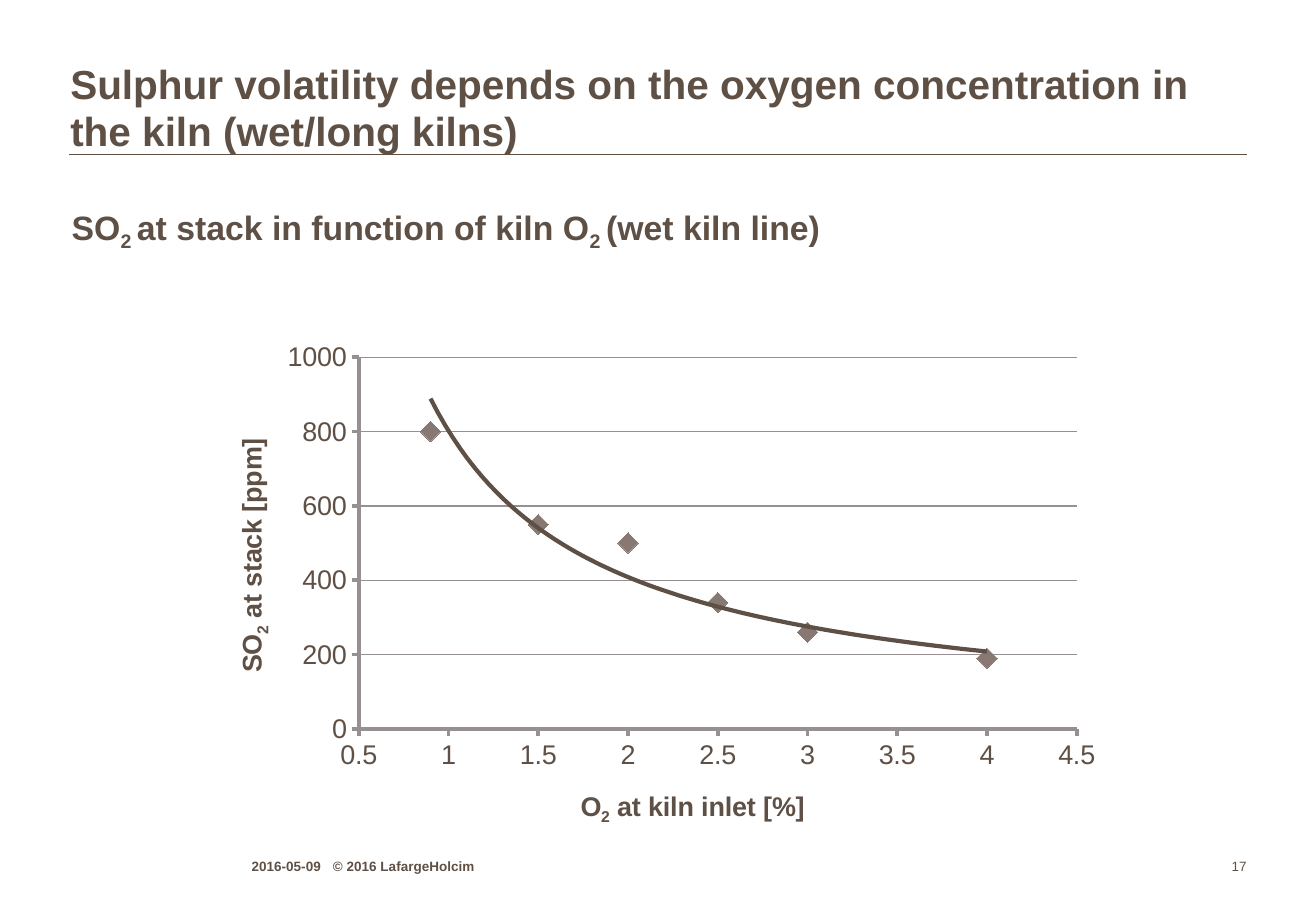
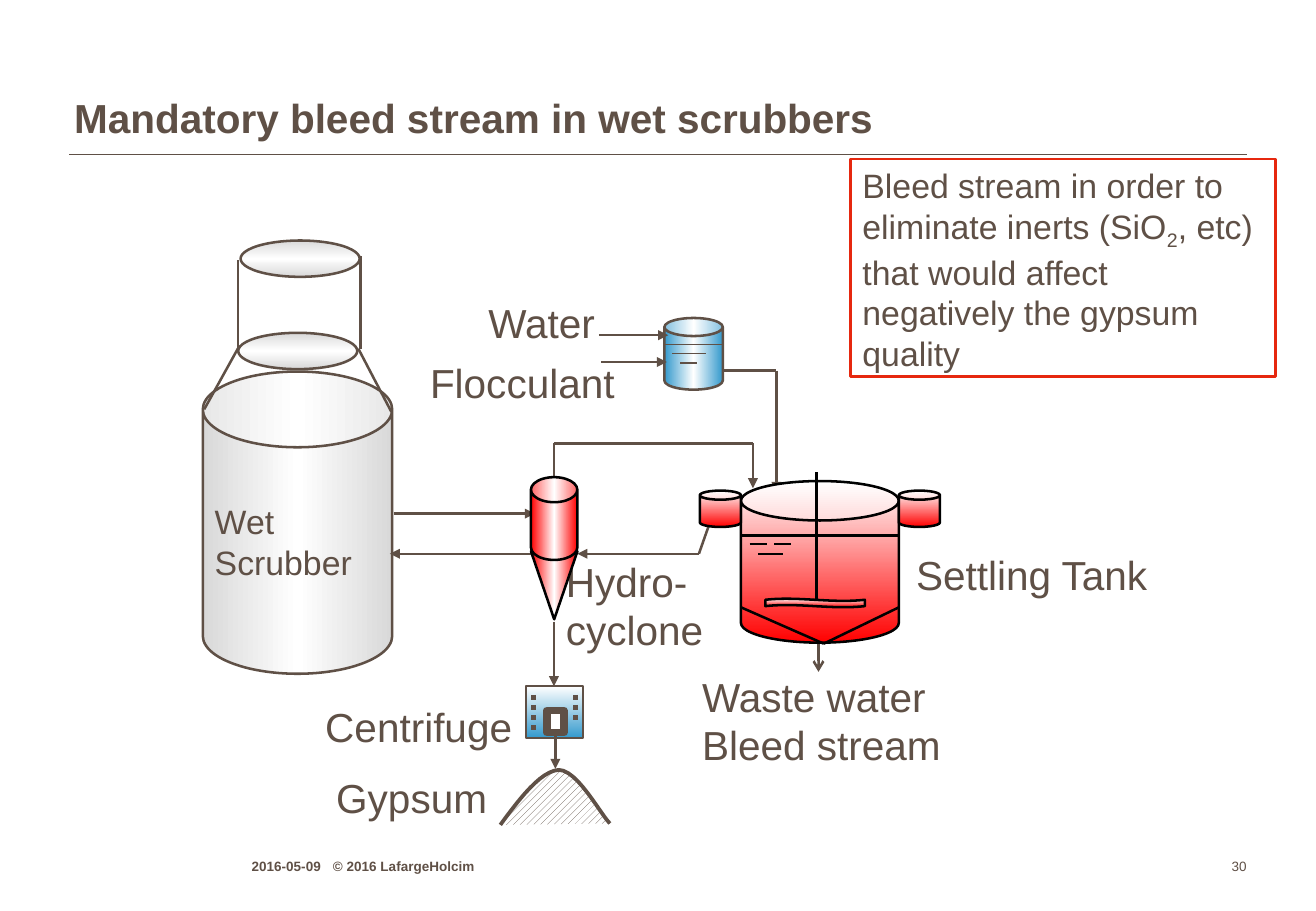
from copy import deepcopy
from dataclasses import dataclass

from lxml import etree
from pptx import Presentation
from pptx import util as u
from pptx.chart.data import XyChartData
from pptx.dml.color import RGBColor
from pptx.enum import chart as charts
from pptx.enum import dml, shapes, text
from pptx.oxml import parse_xml
from pptx.oxml.ns import nsdecls, qn

SHAPE = shapes.MSO_SHAPE
MIDDLE = text.MSO_ANCHOR.MIDDLE


@dataclass(frozen=True)
class Theme:
    font: str = "Arial"
    brown: str = "5F5046"
    marker: str = "877873"
    axis: str = "969090"
    alert: str = "E6280F"
    black: str = "000000"
    white: str = "FFFFFF"
    steel: tuple = ("D9D9D9", "FFFFFF", "D9D9D9")
    water: tuple = ("3399CC", "FFFFFF", "3399CC")
    filter: tuple = ("FFFFFF", "3399CC")
    slurry: tuple = ("FFFFFF", "FF0000")
    cyclone: tuple = ("FF0000", "FFFFFF", "FF0000")
    title: int = 24
    body: int = 20
    label: int = 24
    chart: int = 16
    footer: int = 8
    stroke: float = 1.5


THEME = Theme()


def rgb(code):
    return RGBColor.from_string(code)


def cm(*lengths):
    return [u.Cm(length) for length in lengths]


def style_font(font, size, bold=False):
    font.name, font.size, font.bold = THEME.font, u.Pt(size), bold
    font.color.rgb = rgb(THEME.brown)


def add_spans(para, content, size, bold=False):
    """Add runs; the parts between tildes become subscripts."""
    for index, part in enumerate(content.split("~")):
        if part:
            span = para.add_run()
            span.text = part
            style_font(span.font, size, bold)
            if index % 2:
                span.font._element.set("baseline", "-25000")


def fill_frame(frame, lines, size, bold=False, anchor=text.MSO_ANCHOR.TOP,
               align=text.PP_ALIGN.LEFT, wrap=True, inset=True):
    frame.word_wrap, frame.vertical_anchor = wrap, anchor
    if not inset:
        frame.margin_left = frame.margin_right = 0
        frame.margin_top = frame.margin_bottom = 0
    for index, line in enumerate(lines):
        para = frame.add_paragraph() if index else frame.paragraphs[0]
        para.alignment = align
        add_spans(para, line, size, bold)


def add_text(slide, at, lines, size, **options):
    box = slide.shapes.add_textbox(*cm(*at))
    fill_frame(box.text_frame, lines, size, **options)
    return box.text_frame.paragraphs[0]


def add_label(slide, at, *lines, anchor=MIDDLE):
    add_text(slide, at, lines, THEME.label, anchor=anchor, wrap=False)


def outline(shape, color, width):
    shape.line.color.rgb = rgb(color)
    shape.line.width = u.Pt(width)


def add_gradient(shape, colors, angle):
    """Spread the colours evenly, with a clockwise angle in degrees."""
    shape.fill.gradient()
    shape.fill.gradient_angle = -angle % 360
    stops = shape._element.spPr.find(".//" + qn("a:gsLst"))
    for _ in colors[2:]:
        stops.append(deepcopy(stops[0]))
    for index, (stop, color) in enumerate(zip(shape.fill.gradient_stops, colors)):
        stop.position = index / (len(colors) - 1)
        stop.color.rgb = rgb(color)


def add_part(parent, kind, at, colors=(), angle=0, adjust=(),
             line=THEME.brown, width=THEME.stroke):
    part = parent.add_shape(kind, *cm(*at))
    part.shadow.inherit = False
    for index, value in enumerate(adjust):
        part.adjustments[index] = value
    if len(colors) > 1:
        add_gradient(part, colors, angle)
    elif colors:
        part.fill.solid()
        part.fill.fore_color.rgb = rgb(colors[0])
    else:
        part.fill.background()
    outline(part, line, width)
    return part


def add_pipe(parent, *points, head=None, color=THEME.brown,
             width=THEME.stroke, dash=None):
    """Join the points by straight lines; the last one carries the arrowhead."""
    for start, end in zip(points, points[1:]):
        pipe = parent.add_connector(shapes.MSO_CONNECTOR.STRAIGHT, *cm(*start, *end))
        outline(pipe, color, width)
        if dash:
            pipe.line.dash_style = dash
        etree.SubElement(pipe._element.spPr, qn("a:effectLst"))
    if head:
        etree.SubElement(pipe.line._get_or_add_ln(), qn("a:tailEnd"), type=head)


def add_frame(deck, title, left, top, number):
    """Start a slide with its title, rule and footer."""
    slide = deck.slides.add_slide(deck.slide_layouts[6])
    add_pipe(slide.shapes, (1.45, 3.23), (26.06, 3.23), width=1)
    heading = add_text(slide, (left, top, 23.9, 1.9), [title], THEME.title,
                       bold=True, inset=False)
    heading.line_spacing = 0.95
    bottom = dict(anchor=text.MSO_ANCHOR.BOTTOM, inset=False)
    footer = add_text(slide, (5.26, 17.83, 8.81, 0.46), [], THEME.footer, **bottom)
    tabs = etree.SubElement(footer._p.get_or_add_pPr(), qn("a:tabLst"))
    etree.SubElement(tabs, qn("a:tab"), pos=str(u.Cm(1.7)), algn="l")
    add_spans(footer, "2016-05-09\t© 2016 LafargeHolcim", THEME.footer, bold=True)
    add_text(slide, (24.87, 17.83, 1.19, 0.46), [str(number)], THEME.footer,
             align=text.PP_ALIGN.RIGHT, **bottom)
    return slide


def set_layout(element, index, **fractions):
    """Fix the place of a chart part, in fractions of the chart."""
    for old in element.findall(qn("c:layout")):
        element.remove(old)
    modes = {"x": "xMode", "y": "yMode"}
    target = '<c:layoutTarget val="inner"/>' if "w" in fractions else ""
    edges = "".join(f'<c:{modes[key]} val="edge"/>' for key in "xy")
    values = "".join(f'<c:{key} val="{value}"/>' for key, value in fractions.items())
    element.insert(index, parse_xml(
        f'<c:layout {nsdecls("c")}><c:manualLayout>{target}{edges}{values}'
        '</c:manualLayout></c:layout>'))


def style_axis(axis, low, high, step, title, x, y, grid):
    axis.minimum_scale, axis.maximum_scale, axis.major_unit = low, high, step
    axis.major_tick_mark = charts.XL_TICK_MARK.OUTSIDE
    axis.minor_tick_mark = charts.XL_TICK_MARK.NONE
    axis.tick_labels.number_format = "General"
    axis.tick_labels.number_format_is_linked = False
    outline(axis.format, THEME.axis, 2.25)
    axis.has_major_gridlines = grid
    if grid:
        outline(axis.major_gridlines.format, THEME.axis, 0.75)
    add_spans(axis.axis_title.text_frame.paragraphs[0], title, THEME.chart, bold=True)
    set_layout(axis.axis_title._element, 1, x=x, y=y)


def add_power_trend(series):
    trend = parse_xml(
        f'<c:trendline {nsdecls("c", "a")}><c:spPr><a:ln w="{u.Pt(2.5)}"><a:solidFill>'
        f'<a:srgbClr val="{THEME.brown}"/></a:solidFill></a:ln></c:spPr>'
        '<c:trendlineType val="power"/><c:dispRSqr val="0"/><c:dispEq val="0"/>'
        '</c:trendline>')
    series._element.find(qn("c:xVal")).addprevious(trend)


def add_scatter(slide):
    data = XyChartData()
    points = data.add_series("Series 1")
    for oxygen, sulphur in ((0.9, 800), (1.5, 550), (2, 500),
                            (2.5, 340), (3, 260), (4, 190)):
        points.add_data_point(oxygen, sulphur)
    chart = slide.shapes.add_chart(charts.XL_CHART_TYPE.XY_SCATTER,
                                   *cm(4.27, 6.93, 19, 10.8), data).chart
    chart.has_legend = chart.has_title = False
    style_font(chart.font, THEME.chart)
    plot = chart.plots[0]
    plot.vary_by_categories = False
    series = plot.series[0]
    series.smooth = False
    series.format.line.fill.background()
    series.marker.style = charts.XL_MARKER_STYLE.DIAMOND
    series.marker.size = 12
    series.marker.format.fill.solid()
    series.marker.format.fill.fore_color.rgb = rgb(THEME.marker)
    outline(series.marker.format, THEME.marker, 0.75)
    add_power_trend(series)
    style_axis(chart.category_axis, 0.5, 4.5, 0.5, "O~2~ at kiln inlet [%]",
               0.41, 0.88, grid=False)
    style_axis(chart.value_axis, 0, 1000, 200, "SO~2~ at stack [ppm]",
               0.03, 0.2, grid=True)
    chart.value_axis.axis_title.text_frame._txBody.bodyPr.set("rot", "-5400000")
    plot_area = chart._chartSpace.find(".//" + qn("c:plotArea"))
    set_layout(plot_area, 0, x=0.17, y=0.05, w=0.79, h=0.72)


def curve(a, b, c, d, steps=12):
    """Points along a cubic curve, without its start."""
    for t in (step / steps for step in range(1, steps + 1)):
        s = 1 - t
        yield tuple(s**3 * p + 3 * s * s * t * q + 3 * s * t * t * r + t**3 * e
                    for p, q, r, e in zip(a, b, c, d))


def add_gypsum_heap(parent):
    foot, top = (10.46, 17.25), (11.68, 16.1)
    points = [*curve(foot, (10.87, 16.69), (11.3, 16.13), top),
              *curve(top, (12.07, 16.1), (12.55, 17.02), (12.75, 17.22))]
    builder = parent.build_freeform(*cm(*foot))
    builder.add_line_segments([cm(*point) for point in points], close=False)
    heap = builder.convert_to_shape()
    heap.shadow.inherit = False
    heap.fill.patterned()
    heap.fill.pattern = dml.MSO_PATTERN.WIDE_UPWARD_DIAGONAL
    heap.fill.fore_color.rgb, heap.fill.back_color.rgb = rgb(THEME.brown), rgb(THEME.white)
    outline(heap, THEME.brown, 2.25)


def add_centrifuge(parent):
    add_pipe(parent, (11.58, 13), (11.58, 14.35), head="triangle")
    add_part(parent, SHAPE.RECTANGLE, (11, 14.35, 1.19, 1.09), THEME.filter, 90, width=1)
    for x, bottom in ((11.15, 15.27), (12.04, 15.16)):
        add_pipe(parent, (x, 14.53), (x, bottom), width=3, dash=dml.MSO_LINE.ROUND_DOT)
    add_pipe(parent, (11.61, 15.11), (11.61, 16.08), head="triangle")
    add_gypsum_heap(parent)
    add_part(parent, SHAPE.RECTANGLE, (11.43, 14.86, 0.36, 0.46), (THEME.white,), width=4.5)


def add_scrubber(parent):
    body = add_part(parent, SHAPE.CAN, (4.24, 7.77, 3.96, 6.32), THEME.steel,
                    adjust=[0.4])
    fill_frame(body.text_frame, ["Wet", "Scrubber"], THEME.body, anchor=MIDDLE)
    add_pipe(parent, (4.27, 8.56), (5, 7.24))
    add_pipe(parent, (8.18, 8.61), (7.49, 7.29))
    add_part(parent, SHAPE.OVAL, (4.98, 6.96, 2.49, 0.76), THEME.steel, 90)
    add_pipe(parent, (4.98, 7.26), (4.98, 5.44))
    add_pipe(parent, (7.54, 7.29), (7.54, 5.36))
    add_part(parent, SHAPE.OVAL, (5.03, 5.03, 2.49, 0.76), THEME.steel, 90)


def add_flocculant_tank(parent):
    add_part(parent, SHAPE.CAN, (13.89, 6.65, 1.22, 1.5), THEME.water, adjust=[0.31])
    for left, right, y in ((13.89, 15.09, 7.21), (14.05, 14.76, 7.39), (14.22, 14.58, 7.59)):
        add_pipe(parent, (left, y), (right, y), width=0.75)
    add_pipe(parent, (12.57, 7.57), (13.94, 7.57), head="triangle")
    add_pipe(parent, (12.52, 7.01), (13.97, 7.01), head="triangle")
    add_pipe(parent, (15.09, 7.75), (16.23, 7.75), (16.23, 10.29), head="triangle")


def add_settling_tank(slide):
    tank = slide.shapes.add_group_shape().shapes
    black = THEME.black
    for at in ((15.49, 10.06, 3.3, 3.38), (14.63, 10.26, 0.86, 0.76), (18.79, 10.26, 0.86, 0.76)):
        add_part(tank, SHAPE.CAN, at, THEME.slurry, 90, [0.25], line=black)
    add_pipe(tank, (15.49, 12.7), (17.22, 13.46), (18.79, 12.7), color=black)
    add_part(tank, SHAPE.WAVE, (16, 12.52, 2.08, 0.18), THEME.slurry, 90, [0.13, 0], line=black)
    add_pipe(tank, (17.07, 12.52), (17.07, 9.88), color=black)
    for left, right, y in ((15.49, 18.79, 11.2), (15.67, 16.03, 11.38),
                           (16.18, 16.54, 11.38), (15.85, 16.36, 11.58)):
        add_pipe(tank, (left, y), (right, y), color=black)


def add_hydrocyclone(slide):
    cyclone = slide.shapes.add_group_shape().shapes
    cone = add_part(cyclone, SHAPE.ISOSCELES_TRIANGLE, (11.1, 11.53, 0.97, 1.42),
                    THEME.cyclone, line=THEME.black)
    cone.rotation = 180
    add_part(cyclone, SHAPE.CAN, (11.1, 9.98, 0.97, 1.73), THEME.cyclone,
             adjust=[0.54], line=THEME.black)


def add_scrubber_diagram(slide):
    parent = slide.shapes
    add_centrifuge(parent)
    add_label(slide, (6.55, 14.55, 4.42, 1.27), "Centrifuge")
    add_label(slide, (6.78, 16.03, 4.19, 1.27), "Gypsum")
    add_pipe(parent, (8.23, 10.74), (11.18, 10.74), head="triangle")
    add_scrubber(parent)
    add_pipe(parent, (11.58, 10.16), (11.58, 9.27), (15.74, 9.27), (15.74, 10.21),
             head="triangle")
    add_pipe(parent, (17.11, 13.39), (17.11, 14.05), head="arrow")
    add_flocculant_tank(parent)
    add_label(slide, (8.74, 7.37, 4.37, 1.27), "Flocculant")
    add_label(slide, (9.96, 6.1, 2.77, 1.27), "Water")
    add_label(slide, (14.43, 13.92, 5.51, 2.29), "Waste water", "Bleed stream")
    add_pipe(parent, (14.86, 10.87), (14.61, 11.58), (12.07, 11.58), head="triangle")
    add_pipe(parent, (11.13, 11.58), (8.15, 11.58), head="triangle")
    add_label(slide, (11.58, 11.51, 3.38, 2.29), "Hydro-", "cyclone")
    add_label(slide, (18.9, 11.38, 5.46, 1.27), "Settling Tank")
    note = add_part(parent, SHAPE.RECTANGLE, (17.78, 3.33, 8.89, 4.55), line=THEME.alert)
    fill_frame(note.text_frame, ["Bleed stream in order to eliminate inerts (SiO~2~, etc) "
                                 "that would affect negatively the gypsum quality"], THEME.body)
    add_settling_tank(slide)
    add_hydrocyclone(slide)


def main():
    deck = Presentation()
    deck.slide_width, deck.slide_height = cm(27.51, 19.05)
    slide = add_frame(deck, "Sulphur volatility depends on the oxygen concentration "
                      "in the kiln (wet/long kilns)", 1.47, 1.32, 17)
    add_text(slide, (1.5, 4.32, 23.9, 1), ["SO~2 ~at stack in function of kiln O~2 ~"
                                           "(wet kiln line)"], THEME.body, bold=True, inset=False)
    add_scatter(slide)
    slide = add_frame(deck, "Mandatory bleed stream in wet scrubbers", 1.55, 2.02, 30)
    add_scrubber_diagram(slide)
    deck.save("out.pptx")


if __name__ == "__main__":
    main()
